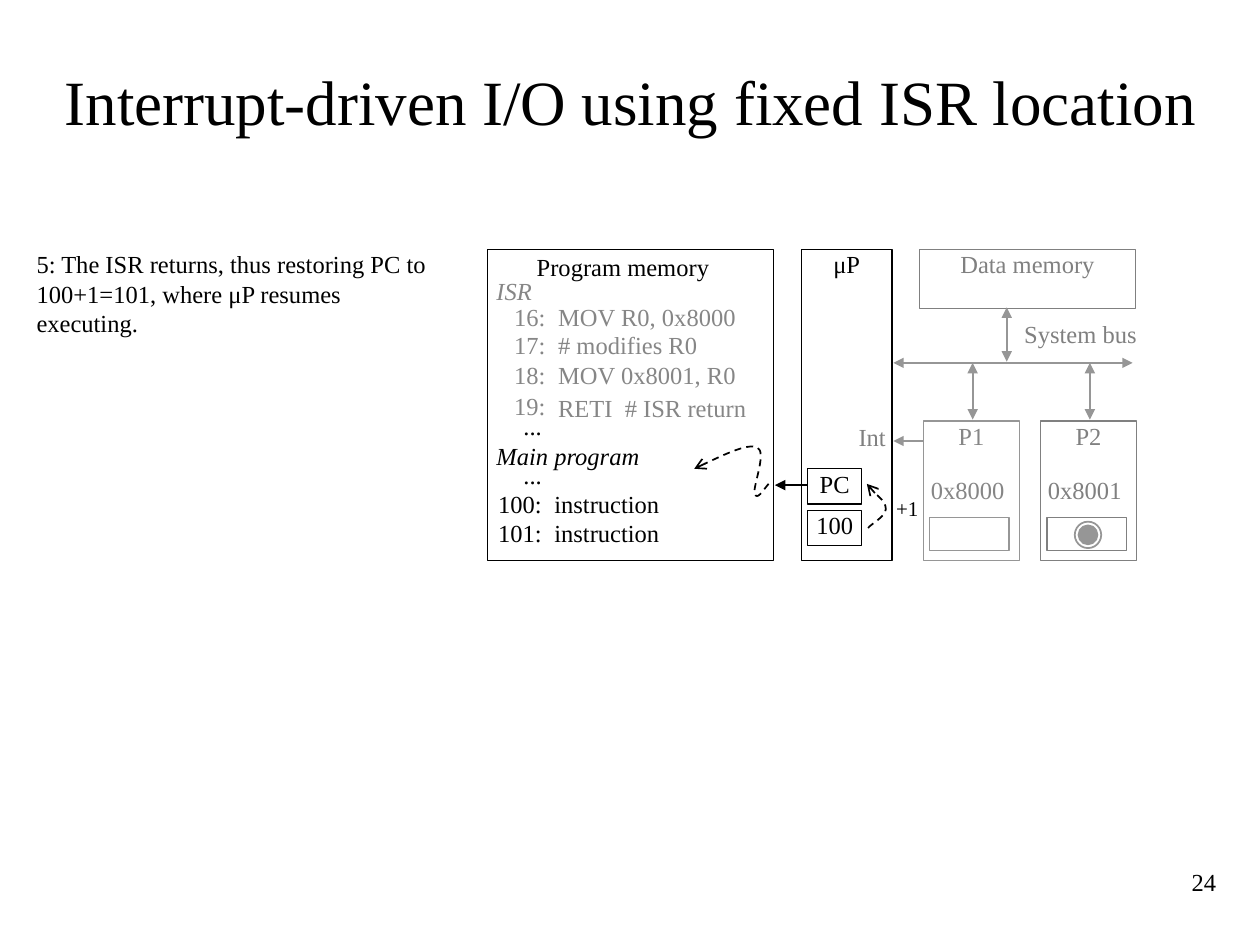
from dataclasses import dataclass

from lxml import etree
from pptx import Presentation
from pptx import util as u
from pptx.dml.color import RGBColor
from pptx.enum import dml, shapes, text
from pptx.oxml import ns

Point = tuple[float, float]
Area = tuple[float, float, float, float]
LEFT, CENTER, RIGHT = text.PP_ALIGN.LEFT, text.PP_ALIGN.CENTER, text.PP_ALIGN.RIGHT


@dataclass(frozen=True)
class Theme:
    font: str = "Times New Roman"
    black: str = "000000"
    white: str = "FFFFFF"
    gray: str = "808080"
    soft_gray: str = "868686"
    line_gray: str = "969696"
    title: float = 36
    body: float = 14
    small: float = 12
    thin: float = 0.75
    medium: float = 1
    thick: float = 1.25


THEME = Theme()


@dataclass(frozen=True)
class Block:
    """A rectangle of the diagram with an optional caption at its top."""
    area: Area
    caption: str = ""
    line: str = THEME.black
    color: str = THEME.black


@dataclass(frozen=True)
class CodeLine:
    number: str
    code: str
    top: float
    code_top: float


@dataclass(frozen=True)
class Arrow:
    start: Point
    end: Point
    color: str = THEME.line_gray
    width: float = THEME.thick
    both: bool = True


@dataclass(frozen=True)
class Peripheral:
    name: str
    address: str
    left: float
    line: str
    color: str


def set_text(shape, words: str, *, size: float = THEME.body, color: str = THEME.black,
             align=LEFT, italic: bool = False, anchor=text.MSO_ANCHOR.TOP,
             inset: Point = (0, 0)) -> None:
    frame = shape.text_frame
    frame.word_wrap = True
    frame.vertical_anchor = anchor
    frame.margin_left = frame.margin_right = u.Inches(inset[0])
    frame.margin_top = frame.margin_bottom = u.Inches(inset[1])
    para = frame.paragraphs[0]
    para.alignment = align
    span = para.add_run()
    span.text = words
    span.font.name = THEME.font
    span.font.size = u.Pt(size)
    span.font.italic = italic
    span.font.color.rgb = RGBColor.from_string(color)


def add_text(page, words: str, area: Area, **style) -> None:
    box = page.shapes.add_textbox(*map(u.Inches, area))
    set_text(box, words, **style)


def add_outline(page, kind, area: Area, line: str, fill: str = "",
                width: float = THEME.thin):
    shape = page.shapes.add_shape(kind, *map(u.Inches, area))
    shape.shadow.inherit = False
    if fill:
        shape.fill.solid()
        shape.fill.fore_color.rgb = RGBColor.from_string(fill)
    else:
        shape.fill.background()
    shape.line.color.rgb = RGBColor.from_string(line)
    shape.line.width = u.Pt(width)
    return shape


def add_block(page, block: Block) -> None:
    shape = add_outline(page, shapes.MSO_SHAPE.RECTANGLE, block.area, block.line, THEME.white)
    if block.caption:
        set_text(shape, block.caption, color=block.color, align=CENTER)


def add_arrowhead(shape, end: str, kind: str) -> None:
    etree.SubElement(shape.line._get_or_add_ln(), ns.qn(f"a:{end}"), type=kind)


def add_arrow(page, arrow: Arrow) -> None:
    line = page.shapes.add_connector(
        shapes.MSO_CONNECTOR.STRAIGHT, *map(u.Inches, arrow.start + arrow.end))
    line.line.color.rgb = RGBColor.from_string(arrow.color)
    line.line.width = u.Pt(arrow.width)
    if arrow.both:
        add_arrowhead(line, "headEnd", "triangle")
    add_arrowhead(line, "tailEnd", "triangle")
    etree.SubElement(line._element.spPr, ns.qn("a:effectLst"))


def add_dashed_curve(page, points: list[Point]) -> None:
    """Draw a start point followed by Bezier triples, ending in an arrow."""
    spots = [(u.Inches(x), u.Inches(y)) for x, y in points]
    builder = page.shapes.build_freeform(*spots[0], scale=1.0)
    builder.add_line_segments(spots[1:], close=False)
    curve = builder.convert_to_shape()
    steps = list(curve._element.iter(ns.qn("a:lnTo")))
    for first in range(0, len(steps), 3):
        bezier = etree.Element(ns.qn("a:cubicBezTo"))
        steps[first].addprevious(bezier)
        for step in steps[first:first + 3]:
            bezier.append(step[0])
            step.getparent().remove(step)
    curve.shadow.inherit = False
    curve.fill.background()
    curve.line.color.rgb = RGBColor.from_string(THEME.black)
    curve.line.width = u.Pt(THEME.medium)
    curve.line.dash_style = dml.MSO_LINE.DASH
    add_arrowhead(curve, "tailEnd", "arrow")


def add_peripheral(page, part: Peripheral) -> None:
    add_block(page, Block((part.left, 3.34, 0.76, 1.11), part.name, part.line, part.color))
    add_block(page, Block((part.left + 0.05, 4.11, 0.63, 0.26), line=part.line))
    add_text(page, part.address, (part.left + 0.02, 3.77, 0.66, 0.27),
             color=part.color, align=CENTER)


def add_listing(page, lines: list[CodeLine], number_right: float, code_left: float,
                color: str) -> None:
    for line in lines:
        add_text(page, line.number, (number_right - 0.48, line.top, 0.48, 0.25),
                 color=color, align=RIGHT)
        if line.code:
            add_text(page, line.code, (code_left, line.code_top, 1.7, 0.25), color=color)


def add_program_memory(page) -> None:
    add_block(page, Block((3.87, 1.98, 2.27, 2.47)))
    add_text(page, "Program memory", (4.26, 2, 1.56, 0.32))
    add_text(page, "ISR", (3.94, 2.19, 0.49, 0.34), color=THEME.soft_gray, italic=True)
    add_listing(page, [
        CodeLine("16:", "MOV R0, 0x8000", 2.4, 2.4),
        CodeLine("17:", "# modifies R0", 2.62, 2.62),
        CodeLine("18:", "MOV 0x8001, R0", 2.86, 2.86),
        CodeLine("19:", "RETI  # ISR return", 3.1, 3.12),
    ], 4.33, 4.43, THEME.soft_gray)
    add_text(page, "Main program", (3.94, 3.5, 1.33, 0.33), italic=True)
    add_listing(page, [
        CodeLine("...", "", 3.26, 3.26),
        CodeLine("...", "", 3.65, 3.65),
        CodeLine("100:", "instruction", 3.88, 3.88),
        CodeLine("101:", "instruction", 4.11, 4.11),
    ], 4.3, 4.4, THEME.black)


def add_processor(page) -> None:
    add_block(page, Block((6.36, 1.98, 0.72, 2.47), "μP"))
    for caption, top in (("PC", 3.72), ("100", 4.05)):
        add_block(page, Block((6.41, top, 0.43, 0.28), caption))
    add_text(page, "Int", (6.71, 3.35, 0.32, 0.32), color=THEME.gray, align=RIGHT)
    add_text(page, "+1", (7.06, 3.93, 0.28, 0.2), size=THEME.small, align=CENTER)


def add_devices(page) -> None:
    add_block(page, Block((7.3, 1.98, 1.71, 0.47), "Data memory", THEME.gray, THEME.gray))
    add_text(page, "System bus", (8.07, 2.53, 1.01, 0.39), color=THEME.gray, align=CENTER)
    add_peripheral(page, Peripheral("P1", "0x8000", 7.33, THEME.line_gray, THEME.soft_gray))
    add_peripheral(page, Peripheral("P2", "0x8001", 8.26, THEME.gray, THEME.gray))
    for left, top, size, fill in ((8.56, 4.17, 0.15, THEME.line_gray), (8.53, 4.14, 0.21, "")):
        add_outline(page, shapes.MSO_SHAPE.OVAL, (left, top, size, size),
                    THEME.line_gray, fill, THEME.medium)


def main() -> None:
    deck = Presentation()
    deck.slide_width, deck.slide_height = u.Inches(10), u.Inches(7.5)
    page = deck.slides.add_slide(deck.slide_layouts[6])

    add_text(page, "Interrupt-driven I/O using fixed ISR location", (0.42, 0.17, 9.17, 1.25),
             size=THEME.title, align=CENTER, anchor=text.MSO_ANCHOR.MIDDLE, inset=(0, 0.05))
    add_text(page, "5: The ISR returns, thus restoring PC to 100+1=101, where μP resumes "
             "executing.", (0.29, 1.98, 3.14, 1.33))
    add_text(page, "24", (8.75, 6.83, 1, 0.5), align=RIGHT, inset=(0.1, 0.05))

    add_program_memory(page)
    add_processor(page)
    add_devices(page)

    for arrow in (
        Arrow((7.09, 2.88), (8.99, 2.88)),
        Arrow((7.72, 2.88), (7.72, 3.33)),
        Arrow((8.65, 2.88), (8.65, 3.33)),
        Arrow((7.99, 2.44), (7.99, 2.87)),
        Arrow((7.33, 3.5), (7.09, 3.5), width=THEME.thin, both=False),
        Arrow((6.41, 3.85), (6.15, 3.85), color=THEME.black, both=False),
    ):
        add_arrow(page, arrow)
    add_dashed_curve(page, [(6.89, 4.19), (6.91, 4.16), (7.03, 4.1), (7.03, 4.04),
                            (7.03, 3.98), (6.91, 3.89), (6.88, 3.84)])
    add_dashed_curve(page, [(6.1, 3.84), (6.05, 3.9), (6.01, 3.97), (5.99, 3.92),
                            (5.97, 3.87), (6.09, 3.59), (6.01, 3.55),
                            (5.93, 3.52), (5.72, 3.62), (5.51, 3.72)])
    deck.save("out.pptx")


if __name__ == "__main__":
    main()
